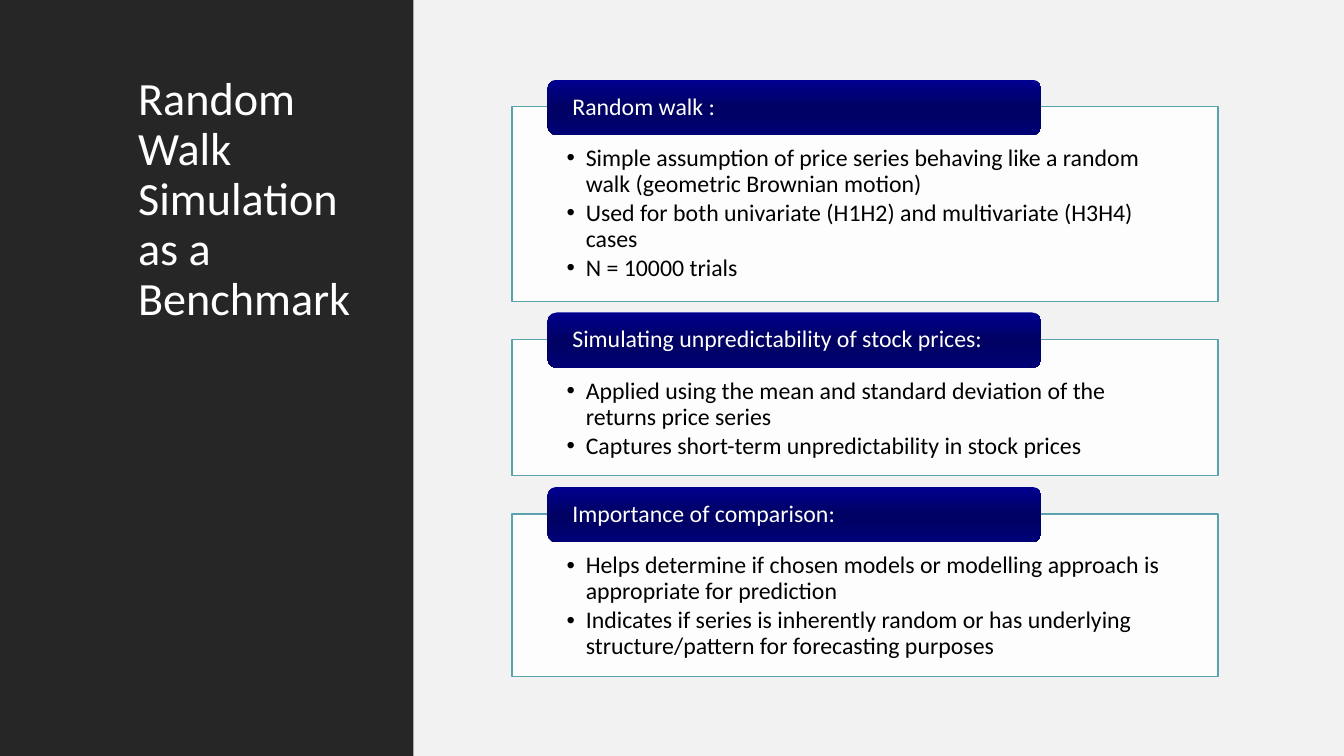
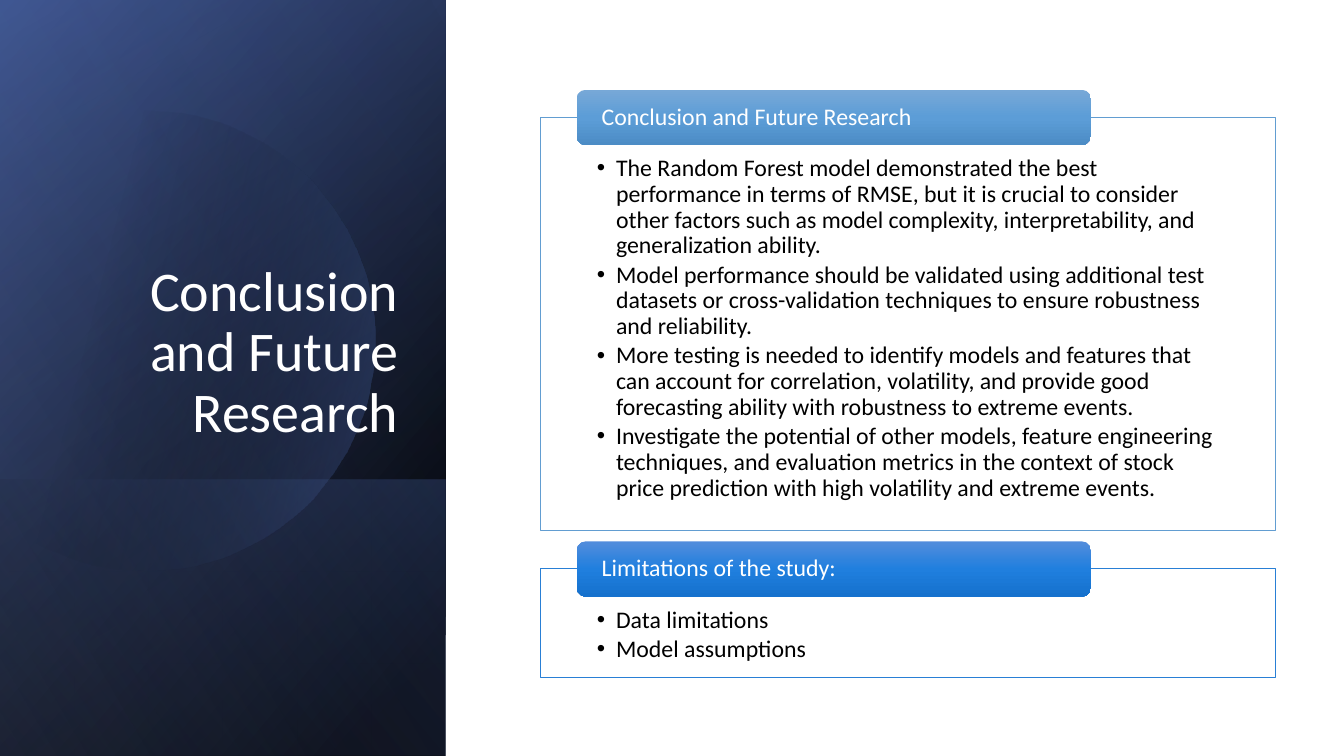
import math

from lxml import etree
from pptx import Presentation
from pptx.dml.color import RGBColor
from pptx.enum.shapes import MSO_SHAPE
from pptx.enum.text import MSO_ANCHOR, MSO_AUTO_SIZE, PP_ALIGN
from pptx.oxml.ns import qn
from pptx.util import Pt

PX = 9144
SLIDE_W, SLIDE_H = 1333, 750
FONT = "Calibri"
BODY_SIZE = 17
LINE_SPACING = 0.9
CARD_GAP = 38
TAB_H = 55
HANG = 19

RECT, ROUND_RECT = MSO_SHAPE.RECTANGLE, MSO_SHAPE.ROUNDED_RECTANGLE
TOP, MIDDLE, BOTTOM = MSO_ANCHOR.TOP, MSO_ANCHOR.MIDDLE, MSO_ANCHOR.BOTTOM
LEFT, RIGHT = PP_ALIGN.LEFT, PP_ALIGN.RIGHT
NO_AUTOFIT = MSO_AUTO_SIZE.NONE

WHITE = RGBColor(0xFF, 0xFF, 0xFF)
BLACK = RGBColor(0x00, 0x00, 0x00)
PALE_GRAY = RGBColor(0xF2, 0xF2, 0xF2)
CHARCOAL = RGBColor(0x26, 0x26, 0x26)
TEAL = RGBColor(0x5A, 0xA2, 0xAE)
NAVY = RGBColor(0x38, 0x4C, 0x81)
INDIGO = RGBColor(0x4A, 0x66, 0xAC)
LAVENDER = RGBColor(0x90, 0xA2, 0xCF)
SKY = RGBColor(0x62, 0x9D, 0xD1)
SKY_TOP = RGBColor(0x77, 0xA8, 0xD7)
SKY_MID = RGBColor(0x5C, 0x9D, 0xD7)
SKY_LOW = RGBColor(0x4C, 0x8C, 0xC5)
AZURE = RGBColor(0x29, 0x7F, 0xD5)
AZURE_TOP = RGBColor(0x53, 0x8D, 0xDC)
AZURE_MID = RGBColor(0x20, 0x7F, 0xDE)
AZURE_LOW = RGBColor(0x15, 0x71, 0xCD)

BENCHMARK_CARDS = [
    (193, TEAL, TEAL, "Random walk :", [
        "Simple assumption of price series behaving like a random walk (geometric Brownian motion)",
        "Used for both univariate (H1H2) and multivariate (H3H4) cases",
        "N = 10000 trials",
    ]),
    (135, TEAL, TEAL, "Simulating unpredictability of stock prices:", [
        "Applied using the mean and standard deviation of the returns price series",
        "Captures short-term unpredictability in stock prices",
    ]),
    (161, TEAL, TEAL, "Importance of comparison:", [
        "Helps determine if chosen models or modelling approach is appropriate for prediction",
        "Indicates if series is inherently random or has underlying structure/pattern "
        "for forecasting purposes",
    ]),
]

CONCLUSION_CARDS = [
    (410, SKY, (SKY_TOP, SKY_MID, SKY_LOW), "Conclusion and Future Research", [
        "The Random Forest model demonstrated the best performance in terms of RMSE, but it is "
        "crucial to consider other factors such as model complexity, interpretability, and "
        "generalization ability.",
        "Model performance should be validated using additional test datasets or "
        "cross-validation techniques to ensure robustness and reliability.",
        "More testing is needed to identify models and features that can account for "
        "correlation, volatility, and provide good forecasting ability with robustness to "
        "extreme events.",
        "Investigate the potential of other models, feature engineering techniques, and "
        "evaluation metrics in the context of stock price prediction with high volatility and "
        "extreme events.",
    ]),
    (108, AZURE, (AZURE_TOP, AZURE_MID, AZURE_LOW), "Limitations of the study:", [
        "Data limitations",
        "Model assumptions",
    ]),
]


def px(*lengths):
    """Turn px lengths into a list of EMU."""
    return [round(n * PX) for n in lengths]


def set_alpha(clr, percent):
    """Give a colour element an opacity."""
    etree.SubElement(clr, qn("a:alpha")).set("val", str(percent * 1000))


def fill_gradient(sp, angle, stops):
    """Fill a shape with (position, colour, opacity) stops at a clockwise angle."""
    sp.fill.gradient()
    sp.fill.gradient_angle = (360 - angle) % 360
    gs_lst = sp._element.spPr.find(".//" + qn("a:gsLst"))
    for gs in list(gs_lst):
        gs_lst.remove(gs)
    for pos, color, opacity in stops:
        gs = etree.SubElement(gs_lst, qn("a:gs"), pos=str(pos * 1000))
        clr = etree.SubElement(gs, qn("a:srgbClr"), val=str(color))
        if opacity < 100:
            set_alpha(clr, opacity)


def add_box(slide, box, fill=None, kind=RECT):
    """Add a flat shape without an outline."""
    sp = slide.shapes.add_shape(kind, *px(*box))
    sp.shadow.inherit = False
    sp.line.fill.background()
    if fill is not None:
        sp.fill.solid()
        sp.fill.fore_color.rgb = fill
    return sp


def set_frame(tf, anchor, insets):
    """Set wrapping, anchor and insets of a text frame."""
    tf.word_wrap = True
    tf.auto_size = NO_AUTOFIT
    tf.vertical_anchor = anchor
    tf.margin_left, tf.margin_top, tf.margin_right, tf.margin_bottom = px(*insets)


def write(p, text, size, color, align=LEFT):
    """Write one run into a paragraph."""
    p.alignment = align
    p.line_spacing = LINE_SPACING
    r = p.add_run()
    r.text = text
    r.font.name = FONT
    r.font.size = Pt(size)
    r.font.color.rgb = color


def write_bullets(tf, items):
    """Write a bulleted list."""
    for i, item in enumerate(items):
        p = tf.paragraphs[0] if i == 0 else tf.add_paragraph()
        write(p, item, BODY_SIZE, BLACK)
        p.space_after = Pt(2.55)
        pPr = p._p.get_or_add_pPr()
        pPr.set("marL", str(HANG * PX))
        pPr.set("indent", str(-HANG * PX))
        etree.SubElement(pPr, qn("a:buFont"), typeface="Arial")
        etree.SubElement(pPr, qn("a:buChar"), char="•")


def add_title(slide, box, text, size, anchor, align):
    """Place the title placeholder above the panel."""
    sp = slide.shapes.title
    sp.left, sp.top, sp.width, sp.height = px(*box)
    set_frame(sp.text_frame, anchor, (10, 5, 10, 5))
    write(sp.text_frame.paragraphs[0], text, size, WHITE, align)
    slide.shapes._spTree.append(sp._element)


def add_card(slide, box, line, line_width, tab_fill, heading, items):
    """Add an outlined list with a heading tab across its top edge."""
    x, y, w, h = box
    sp = add_box(slide, box, WHITE)
    set_alpha(sp._element.spPr.find(".//" + qn("a:srgbClr")), 90)
    sp.line.color.rgb = line
    sp.line.width = Pt(line_width)
    side = round(w * 0.0775)
    set_frame(sp.text_frame, TOP, (side, 39, side, 13))
    write_bullets(sp.text_frame, items)

    tab_box = (x + round(w * 0.05), y - TAB_H // 2, round(w * 0.7), TAB_H)
    if isinstance(tab_fill, tuple):
        tab = add_box(slide, tab_box, kind=ROUND_RECT)
        fill_gradient(tab, 90, [(50 * i, c, 100) for i, c in enumerate(tab_fill)])
    else:
        tab = add_box(slide, tab_box, tab_fill, ROUND_RECT)
        tab.line.color.rgb = WHITE
        tab.line.width = Pt(line_width)
    set_frame(tab.text_frame, MIDDLE, (22, 0, 22, 0))
    write(tab.text_frame.paragraphs[0], heading, BODY_SIZE, WHITE)


def add_cards(slide, x, y, w, line_width, cards):
    """Stack cards with equal gaps."""
    for h, line, tab_fill, heading, items in cards:
        add_card(slide, (x, y, w, h), line, line_width, tab_fill, heading, items)
        y += h + CARD_GAP


def add_disc(slide, cx, cy, radius):
    """Add a translucent disc cut off by the left slide edge."""
    limit = math.acos(-cx / radius)
    steps = 90
    angles = [limit * (2 * i / steps - 1) for i in range(steps + 1)]
    points = [(round(cx + radius * math.cos(a), 2), round(cy + radius * math.sin(a), 2))
              for a in angles]
    fb = slide.shapes.build_freeform(*points[0], scale=PX)
    fb.add_line_segments(points[1:], close=True)
    sp = fb.convert_to_shape()
    sp.shadow.inherit = False
    sp.line.fill.background()
    fill_gradient(sp, 14, [(29, BLACK, 0), (100, INDIGO, 43)])


def add_glow_panel(slide, box):
    """Layer gradients into the dark blue side panel."""
    x, y, w, h = box
    foot = (x, y + h - 274, w, 274)
    layers = [
        (box, 220, [(8, BLACK, 100), (100, NAVY, 100)]),
        (box, 240, [(0, BLACK, 0), (99, INDIGO, 46)]),
        (foot, 140, [(2, INDIGO, 29), (100, BLACK, 30)]),
    ]
    for layer_box, angle, stops in layers:
        fill_gradient(add_box(slide, layer_box), angle, stops)
    add_disc(slide, x + 144, y + 338, 228)
    fill_gradient(add_box(slide, box), 150, [(0, BLACK, 0), (99, LAVENDER, 11)])


def benchmark_slide(slide):
    """Build the random walk slide."""
    add_box(slide, (409, 0, SLIDE_W - 409, SLIDE_H), PALE_GRAY)
    add_box(slide, (0, 0, 410, SLIDE_H), CHARCOAL)
    add_title(slide, (127, 70, 240, 610), "Random Walk Simulation as a Benchmark", 33, TOP, LEFT)
    add_cards(slide, 508, 106, 700, 1, BENCHMARK_CARDS)


def conclusion_slide(slide):
    """Build the conclusion slide."""
    add_glow_panel(slide, (0, 0, 442, SLIDE_H))
    add_title(slide, (64, 184, 341, 262), "Conclusion and Future Research", 40, BOTTOM, RIGHT)
    add_cards(slide, 536, 116, 729, 0.5, CONCLUSION_CARDS)


def main():
    """Build and save the presentation."""
    prs = Presentation()
    prs.slide_width, prs.slide_height = px(SLIDE_W, SLIDE_H)
    title_only = prs.slide_layouts[5]
    for build in (benchmark_slide, conclusion_slide):
        build(prs.slides.add_slide(title_only))
    prs.save("out.pptx")


if __name__ == "__main__":
    main()
